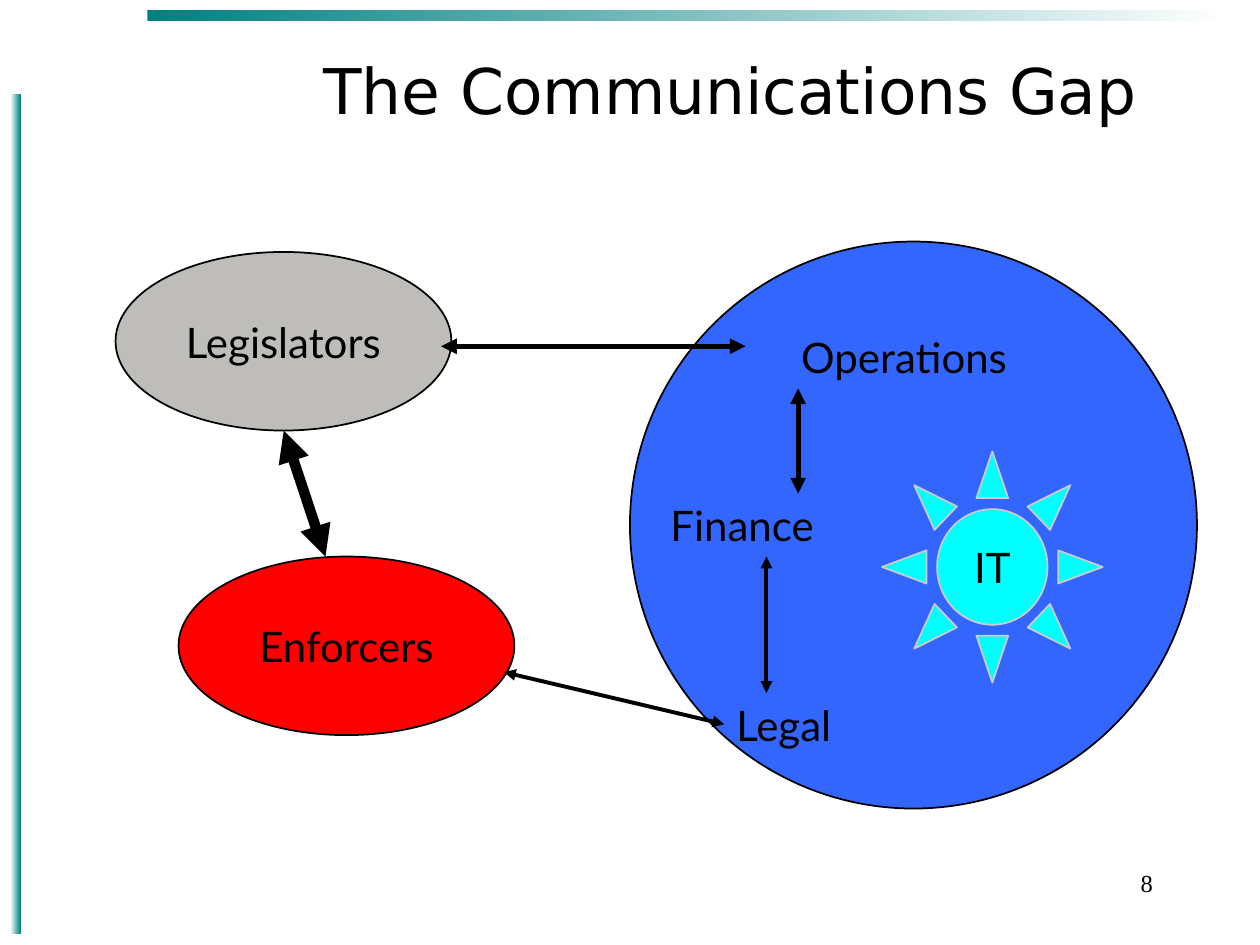
"""Build the slide on the communications gap between lawmakers and a company."""
from dataclasses import dataclass

from lxml.etree import SubElement
from pptx import Presentation
from pptx.dml.color import RGBColor
from pptx.enum.shapes import MSO_CONNECTOR, MSO_SHAPE
from pptx.enum.text import MSO_ANCHOR, MSO_AUTO_SIZE, PP_ALIGN
from pptx.oxml.ns import qn
from pptx.util import Cm, Pt


@dataclass(frozen=True)
class Theme:
    """Colours, fonts and type sizes of the slide."""
    ink: str = "000000"
    paper: str = "FFFFFF"
    accent: str = "008080"
    company: str = "3366FF"
    legislators: str = "BEBDBA"
    enforcers: str = "FF0000"
    it: str = "00FFFF"
    it_edge: str = "CBCBCB"
    title_font: str = "DejaVu Sans"
    label_font: str = "Lato"
    number_font: str = "Times New Roman"
    title_size: int = 36
    label_size: int = 24
    number_size: int = 14


THEME = Theme()


def rgb(code):
    """Turn a hex code into a colour."""
    return RGBColor.from_string(code)


def cm_box(box):
    """Turn left, top, width and height in centimetres into lengths."""
    return [Cm(length) for length in box]


def write(holder, words, font=THEME.label_font, size=THEME.label_size,
          align=PP_ALIGN.CENTER, anchor=MSO_ANCHOR.MIDDLE, wrap=False):
    """Write one paragraph into a shape or text box."""
    frame = holder.text_frame
    frame.word_wrap = wrap
    frame.vertical_anchor = anchor
    frame.margin_left = frame.margin_right = Cm(0.25)
    frame.margin_top = frame.margin_bottom = Cm(0.13)
    paragraph = frame.paragraphs[0]
    paragraph.text = words
    paragraph.alignment = align
    paragraph.font.name = font
    paragraph.font.size = Pt(size)
    paragraph.font.color.rgb = rgb(THEME.ink)


def add_bar(slide, box, start, end):
    """Add a decorative bar fading from left to right."""
    bar = slide.shapes.add_shape(MSO_SHAPE.RECTANGLE, *cm_box(box))
    bar.shadow.inherit = False
    bar.line.fill.background()
    bar.fill.gradient()
    bar.fill.gradient_angle = 0
    for stop, colour in zip(bar.fill.gradient_stops, (start, end)):
        stop.color.rgb = rgb(colour)


def add_party(slide, kind, box, colour, name="", edge=THEME.ink):
    """Add a filled, outlined shape standing for one party."""
    party = slide.shapes.add_shape(kind, *cm_box(box))
    party.shadow.inherit = False
    party.fill.solid()
    party.fill.fore_color.rgb = rgb(colour)
    party.line.color.rgb = rgb(edge)
    party.line.width = Pt(1)
    if name:
        write(party, name)


def add_text(slide, box, words, **style):
    """Add a text box."""
    holder = slide.shapes.add_textbox(*cm_box(box))
    write(holder, words, **style)
    return holder


def add_department(slide, box, name):
    """Add a department label that fits its text."""
    label = add_text(slide, box, name)
    label.text_frame.auto_size = MSO_AUTO_SIZE.SHAPE_TO_FIT_TEXT


def add_dialogue(slide, start, end, weight):
    """Add a line with an arrowhead at both ends."""
    dialogue = slide.shapes.add_connector(
        MSO_CONNECTOR.STRAIGHT, *cm_box(start + end))
    dialogue.line.color.rgb = rgb(THEME.ink)
    dialogue.line.width = Pt(weight)
    outline = dialogue.line._get_or_add_ln()
    for tip in ("a:headEnd", "a:tailEnd"):
        SubElement(outline, qn(tip), type="triangle")
    SubElement(dialogue._element.spPr, qn("a:effectLst"))


def main():
    """Build and save the slide."""
    deck = Presentation()
    deck.slide_width, deck.slide_height = Cm(25.4), Cm(19.05)
    slide = deck.slides.add_slide(deck.slide_layouts[6])

    add_bar(slide, (2.97, 0.21, 21.8, 0.21), THEME.accent, THEME.paper)
    add_bar(slide, (0.21, 1.9, 0.21, 16.93), THEME.paper, THEME.accent)
    add_text(slide, (4.88, 0.64, 19.69, 2.33), "The Communications Gap",
             font=THEME.title_font, size=THEME.title_size, wrap=True)

    add_party(slide, MSO_SHAPE.OVAL, (12.7, 4.87, 11.43, 11.43), THEME.company)
    for name, left, top, width in (
            ("Finance", 13.18, 9.95, 3.56),
            ("Legal", 14.48, 13.97, 2.64),
            ("Operations", 15.75, 6.56, 4.95)):
        add_department(slide, (left, top, width, 1.27), name)
    for name, left, top, colour in (
            ("Legislators", 2.33, 5.08, THEME.legislators),
            ("Enforcers", 3.6, 11.22, THEME.enforcers)):
        add_party(slide, MSO_SHAPE.OVAL, (left, top, 6.77, 3.6), colour, name)

    for start, end, weight in (
            ((5.72, 8.68), (6.56, 11.22), 6),
            ((10.16, 13.55), (14.6, 14.6), 2.25),
            ((8.89, 6.98), (15.03, 6.98), 3),
            ((15.45, 11.22), (15.45, 13.97), 2.25),
            ((16.09, 7.83), (16.09, 9.95), 3)):
        add_dialogue(slide, start, end, weight)

    add_party(slide, MSO_SHAPE.SUN, (17.78, 9.1, 4.45, 4.66), THEME.it, "IT",
              THEME.it_edge)
    add_text(slide, (18.2, 17.36, 5.29, 1.27), "8", font=THEME.number_font,
             size=THEME.number_size, align=PP_ALIGN.RIGHT,
             anchor=MSO_ANCHOR.TOP, wrap=True)
    deck.save("out.pptx")


if __name__ == "__main__":
    main()
